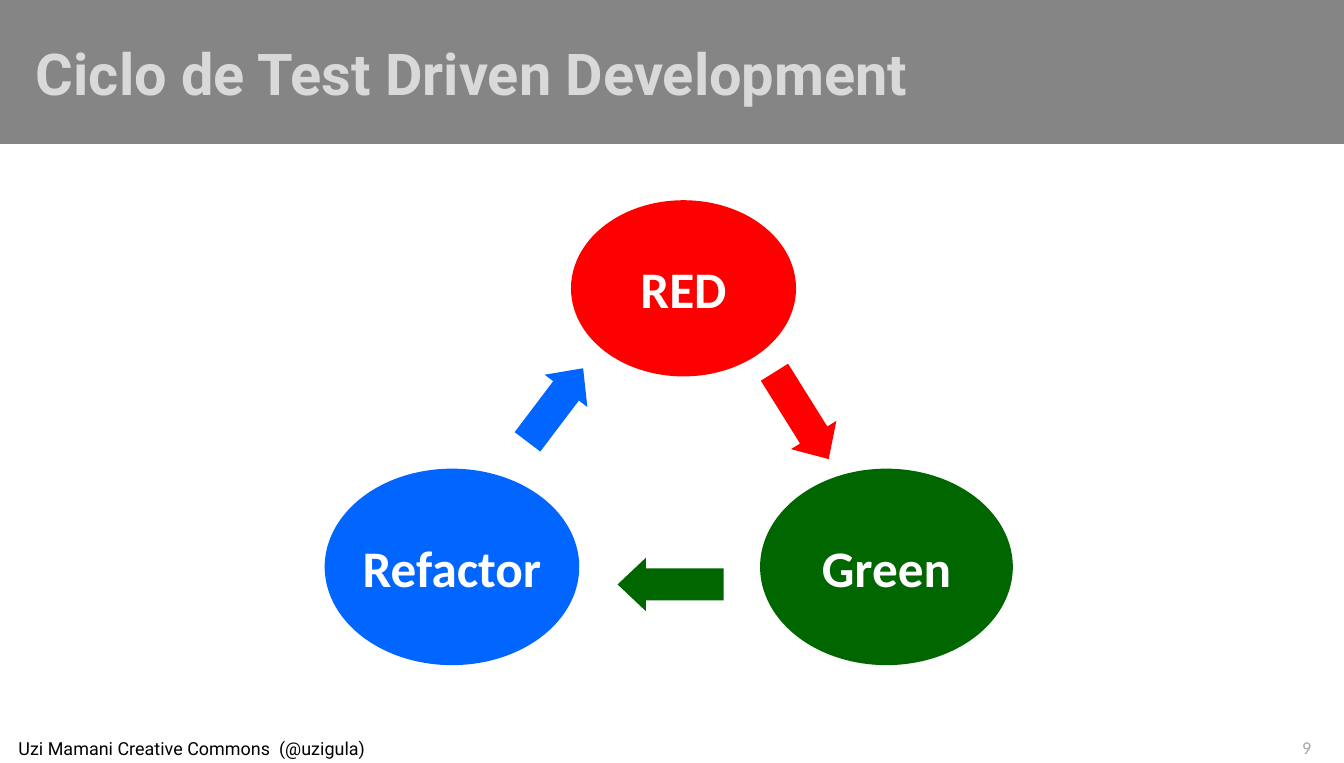
from lxml.etree import SubElement
from pptx import Presentation
from pptx.dml.color import RGBColor
from pptx.enum.shapes import MSO_SHAPE
from pptx.enum.text import MSO_ANCHOR, MSO_AUTO_SIZE, PP_ALIGN
from pptx.oxml.ns import qn
from pptx.util import Emu, Pt

PX = 9144  # 100 px to the inch
W, H = 1457, 827
COLORS = {
    "band": "0D0D0D", "title": "D9D9D9", "white": "FFFFFF", "black": "000000",
    "number": "4C4C4C", "red": "FF0000", "green": "006600", "blue": "0066FF",
}
STAGE_FONT = {"name": "Calibri", "size": Pt(40), "bold": True}


def px(*values):
    return [Emu(v * PX) for v in values]


def paint(sp, color, alpha=None):
    sp.fill.solid()
    sp.fill.fore_color.rgb = RGBColor.from_string(COLORS[color])
    sp.line.fill.background()
    if alpha is not None:
        clr = sp.fill._xPr.find(qn("a:solidFill"))[0]
        SubElement(clr, qn("a:alpha")).set("val", str(alpha * 1000))


def write(sp, text, color, font, align=PP_ALIGN.LEFT, insets=(10, 5, 10, 5), wrap=True):
    tf = sp.text_frame
    margins = dict(zip(("margin_left", "margin_top", "margin_right", "margin_bottom"),
                       px(*insets)))
    frame = {"word_wrap": wrap, "auto_size": MSO_AUTO_SIZE.NONE,
             "vertical_anchor": MSO_ANCHOR.MIDDLE, **margins}
    for name, value in frame.items():
        setattr(tf, name, value)
    p = tf.paragraphs[0]
    p.alignment = align
    r = p.add_run()
    r.text = text
    for name, value in font.items():
        setattr(r.font, name, value)
    r.font.color.rgb = RGBColor.from_string(COLORS[color])


def add_shape(s, kind, box, color, alpha=None):
    sp = s.shapes.add_shape(kind, *px(*box))
    sp.shadow.inherit = False
    paint(sp, color, alpha)
    return sp


def add_title(s, box, text):
    sp = s.shapes.title
    for name, value in zip(("left", "top", "width", "height"), px(*box)):
        setattr(sp, name, value)
    paint(sp, "band", 50)
    write(sp, text, "title", {"name": "Roboto", "size": Pt(45), "bold": True},
          insets=(39, 6, 45, 6))


def add_cycle(s, box):
    x, y, _, _ = box
    # Stages: label, colour, place within the box, insets
    stages = [
        ("RED", "red", (267, 0, 244, 191), (10, 5, 10, 5)),
        ("Refactor", "blue", (0, 291, 276, 213), (0, 0, 0, 0)),
        ("Green", "green", (472, 291, 274, 213), (10, 5, 10, 5)),
    ]
    for label, color, (dx, dy, w, h), insets in stages:
        sp = add_shape(s, MSO_SHAPE.FLOWCHART_CONNECTOR, (x + dx, y + dy, w, h), color)
        write(sp, label, "white", STAGE_FONT, PP_ALIGN.CENTER, insets)

    # Arrows: colour, place within the box, length, rotation
    arrows = [
        ("blue", 221, 172, 100, 217.1),
        ("green", 346, 359, 115, 90),
        ("red", 488, 178, 111, 328),
    ]
    for color, dx, dy, length, angle in arrows:
        sp = add_shape(s, MSO_SHAPE.DOWN_ARROW, (x + dx, y + dy, 58, length), color)
        sp.rotation = angle
        sp.adjustments[0], sp.adjustments[1] = 0.6, 0.53


def add_footer(s, box, credit, number):
    x, y, w, h = box
    # Page number, beneath the translucent strip
    sp = s.shapes.add_textbox(*px(x + w - 62, y - 2, 43, 34))
    write(sp, number, "number", {"name": "Calibri", "size": Pt(14)},
          PP_ALIGN.CENTER, (11, 6, 11, 6), wrap=False)
    # Credit strip
    sp = add_shape(s, MSO_SHAPE.RECTANGLE, box, "white", 50)
    write(sp, credit, "black", {"name": "Roboto", "size": Pt(14)}, insets=(20, 0, 5, 0))


def main():
    prs = Presentation()
    prs.slide_width, prs.slide_height = px(W, H)
    s = prs.slides.add_slide(prs.slide_layouts[5])
    add_title(s, (0, 0, W, 156), "Ciclo de Test Driven Development")
    add_cycle(s, (352, 217, 746, 504))
    add_footer(s, (0, H - 32, W, 32), "Uzi Mamani Creative Commons  (@uzigula)", "9")
    prs.save("out.pptx")


if __name__ == "__main__":
    main()
